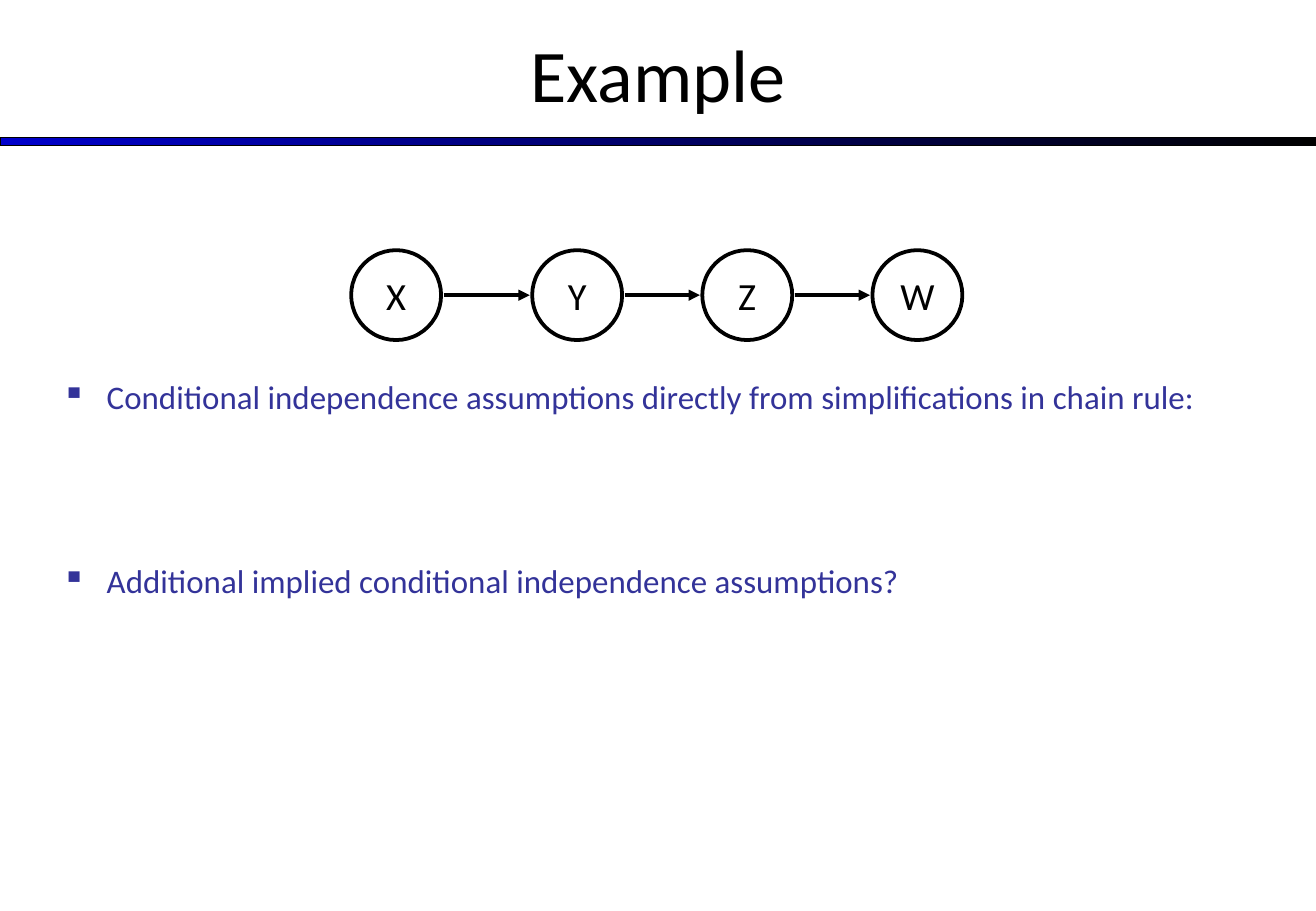
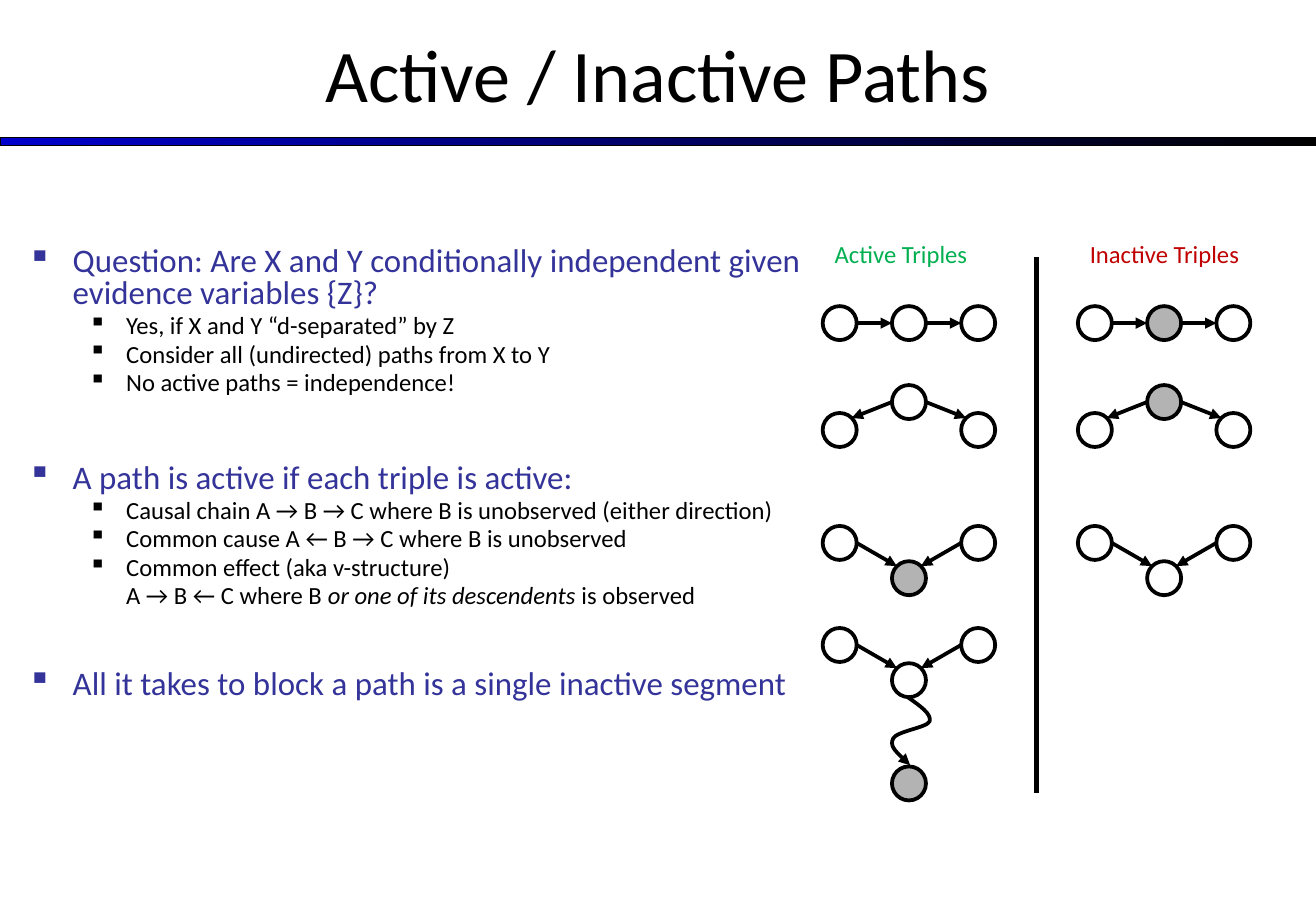
from math import cos, radians, sin

from lxml.etree import SubElement
from pptx import Presentation
from pptx.dml.color import RGBColor
from pptx.enum.shapes import MSO_CONNECTOR as Line, MSO_SHAPE as Shape
from pptx.enum.text import MSO_ANCHOR as Anchor, PP_ALIGN as Align
from pptx.oxml.ns import qn
from pptx.util import Inches, Pt

WIDTH, HEIGHT = 10.83, 7.5
FONT = "Calibri"
BLACK, WHITE, GRAY = "000000", "FFFFFF", "B3B3B3"
BLUE, INDIGO, GREEN, RED = "0000CC", "333399", "00B050", "C00000"
STROKE = 2.25

# Left margin and hanging indent in inches, size and space before in points
LEVELS = [
    {"margin": 0.37, "hang": 0.37, "size": 19.5, "before": 3.9, "color": INDIGO},
    {"margin": 0.81, "hang": 0.31, "size": 14.6, "before": 2.9, "color": BLACK},
]

NODE_RADIUS = 0.14
NODE_PITCH = 0.57
ACTIVE_X, INACTIVE_X = 6.91, 9.01
TRIPLE_ROWS = {  # arrow pattern, y of the end nodes, y of the middle node
    "chain": ("chain", 2.66, 2.66),
    "cause": ("fork", 3.54, 3.31),
    "effect": ("collider", 4.47, 4.76),
    "descendant": ("collider", 5.31, 5.6),
}


def rgb(value):
    return RGBColor.from_string(value)


def apply(target, values):
    for name, value in values.items():
        setattr(target, name, value)


def add_span(para, text, size, color, italic=False):
    span = para.add_run()
    span.text = text
    apply(span.font, {"name": FONT, "size": Pt(size), "italic": italic})
    span.font.color.rgb = rgb(color)


def add_text(page, area, text, size, color, align=Align.LEFT, anchor=Anchor.TOP):
    box = page.shapes.add_textbox(*map(Inches, area))
    apply(box.text_frame, {"word_wrap": True, "vertical_anchor": anchor})
    para = box.text_frame.paragraphs[0]
    para.alignment = align
    add_span(para, text, size, color)


def add_page(deck, title):
    """Add a slide with the shared title and gradient band."""
    page = deck.slides.add_slide(deck.slide_layouts[6])
    band = page.shapes.add_shape(
        Shape.RECTANGLE, *map(Inches, (0, 1.13, WIDTH, 0.07)))
    band.shadow.inherit = False
    band.fill.gradient()
    band.fill.gradient_angle = 0
    for stop, color in zip(band.fill.gradient_stops, (BLUE, BLACK)):
        stop.color.rgb = rgb(color)
    apply(band.line, {"width": Pt(0.75)})
    band.line.color.rgb = rgb(BLACK)
    add_text(page, (0, -0.03, WIDTH, 1.25), title, 44, BLACK,
             Align.CENTER, Anchor.MIDDLE)
    return page


def add_bullets(page, area, items, spacing=1.0):
    """Items are dicts: level, spans, optional before (points) and bullet."""
    box = page.shapes.add_textbox(*map(Inches, area))
    frame = box.text_frame
    frame.word_wrap = True
    for index, item in enumerate(items):
        style = LEVELS[item["level"]]
        para = frame.add_paragraph() if index else frame.paragraphs[0]
        before = item.get("before", style["before"]) if index else 0
        apply(para, {"line_spacing": spacing, "space_before": Pt(before)})
        bulleted = item.get("bullet", True)
        props = para._p.get_or_add_pPr()
        props.set("marL", str(Inches(style["margin"])))
        props.set("indent", str(-Inches(style["hang"]) if bulleted else 0))
        if bulleted:
            bullet_color = SubElement(props, qn("a:buClr"))
            SubElement(bullet_color, qn("a:srgbClr"), val=style["color"])
            SubElement(props, qn("a:buChar"), char="▪")
        for text, italic in item["spans"]:
            add_span(para, text, style["size"], style["color"], italic)


def bullet(level, text, **extra):
    return {"level": level, "spans": [(text, False)], **extra}


def add_node(page, center, radius, fill=WHITE, label=None):
    x, y = center
    node = page.shapes.add_shape(
        Shape.OVAL, *map(Inches, (x - radius, y - radius, 2 * radius, 2 * radius)))
    node.shadow.inherit = False
    node.fill.solid()
    node.fill.fore_color.rgb = rgb(fill)
    node.line.width = Pt(STROKE)
    node.line.color.rgb = rgb(BLACK)
    if label:
        frame = node.text_frame
        apply(frame, {"word_wrap": False, "vertical_anchor": Anchor.MIDDLE})
        frame.paragraphs[0].alignment = Align.CENTER
        add_span(frame.paragraphs[0], label, 22.8, BLACK)


def add_arrowhead(shape):
    outline = shape.element.spPr.find(qn("a:ln"))
    SubElement(outline, qn("a:tailEnd"), type="triangle")


def add_line(page, start, end, width=STROKE, arrow=True):
    line = page.shapes.add_connector(Line.STRAIGHT, *map(Inches, (*start, *end)))
    line.line.width = Pt(width)
    line.line.color.rgb = rgb(BLACK)
    if arrow:
        add_arrowhead(line)
    SubElement(line.element.spPr, qn("a:effectLst"))


def add_curved_arrow(page, points):
    """Draw a start point followed by cubic Bezier triples."""
    start, *rest = [tuple(map(Inches, point)) for point in points]
    builder = page.shapes.build_freeform(*start)
    builder.add_line_segments(rest, close=False)
    curve = builder.convert_to_shape()
    curve.shadow.inherit = False
    curve.fill.background()
    curve.line.width = Pt(STROKE)
    curve.line.color.rgb = rgb(BLACK)
    add_arrowhead(curve)
    steps = list(curve.element.iter(qn("a:lnTo")))
    outline = steps[0].getparent()
    for first in range(0, len(steps), 3):
        bezier = SubElement(outline, qn("a:cubicBezTo"))
        for step in steps[first:first + 3]:
            bezier.append(step[0])
            outline.remove(step)


def rim(center, degrees):
    """Point on a small node's edge, clockwise from its right side."""
    x, y = center
    angle = radians(degrees)
    return x + NODE_RADIUS * cos(angle), y + NODE_RADIUS * sin(angle)


def add_triple(page, x, row, observed):
    pattern, end_y, middle_y = TRIPLE_ROWS[row]
    left = (x, end_y)
    middle = (x + NODE_PITCH, middle_y)
    right = (x + 2 * NODE_PITCH, end_y)
    for center, fill in ((left, WHITE), (middle, GRAY if observed else WHITE),
                         (right, WHITE)):
        add_node(page, center, NODE_RADIUS, fill)
    arrows = {
        "chain": [(left, 0, middle, 180), (middle, 0, right, 180)],
        "fork": [(middle, 180, left, -45), (middle, 0, right, -135)],
        "collider": [(left, 0, middle, -135), (right, 180, middle, -45)],
    }
    for source, leaving, target, entering in arrows[pattern]:
        add_line(page, rim(source, leaving), rim(target, entering))


def build_example(deck):
    page = add_page(deck, "Example")
    add_bullets(page, (0.41, 3.05, 9.75, 3.01), [
        bullet(0, "Conditional independence assumptions directly from "
                  "simplifications in chain rule:"),
        bullet(0, "Additional implied conditional independence assumptions?",
               before=86),
    ])
    radius, y = 0.37, 2.43
    centers = [3.26, 4.75, 6.15, 7.55]
    for x, label in zip(centers, "XYZW"):
        add_node(page, (x, y), radius, label=label)
    for source, target in zip(centers, centers[1:]):
        add_line(page, (source + radius + 0.02, y), (target - radius - 0.02, y))


def build_paths(deck):
    page = add_page(deck, "Active / Inactive Paths")
    add_bullets(page, (0.13, 1.99, 6.71, 4.47), [
        bullet(0, "Question: Are X and Y conditionally independent given "
                  "evidence variables {Z}?"),
        bullet(1, "Yes, if X and Y “d-separated” by Z"),
        bullet(1, "Consider all (undirected) paths from X to Y"),
        bullet(1, "No active paths = independence!"),
        bullet(0, "A path is active if each triple is active:", before=40),
        bullet(1, "Causal chain A → B → C where B is unobserved (either direction)"),
        bullet(1, "Common cause A ← B → C where B is unobserved"),
        bullet(1, "Common effect (aka v-structure)"),
        {"level": 1, "bullet": False, "spans": [
            ("A → B ← C where B ", False),
            ("or one of its descendents", True),
            (" is observed", False)]},
        bullet(0, "All it takes to block a path is a single inactive segment",
               before=36),
    ], spacing=0.8)

    add_text(page, (6.77, 1.92, 1.42, 0.35), "Active Triples", 14.6, GREEN)
    add_text(page, (8.87, 1.92, 1.56, 0.35), "Inactive Triples", 14.6, RED)
    add_line(page, (8.53, 2.12), (8.53, 6.53), width=3, arrow=False)

    for x, row, observed in (
            (ACTIVE_X, "chain", False), (INACTIVE_X, "chain", True),
            (ACTIVE_X, "cause", False), (INACTIVE_X, "cause", True),
            (ACTIVE_X, "effect", True), (INACTIVE_X, "effect", False),
            (ACTIVE_X, "descendant", False)):
        add_triple(page, x, row, observed)
    add_node(page, (ACTIVE_X + NODE_PITCH, 6.45), NODE_RADIUS, GRAY)
    add_curved_arrow(page, [
        (7.47, 5.74),
        (7.57, 5.81), (7.67, 5.88), (7.65, 5.94),
        (7.63, 5.99), (7.38, 6.02), (7.35, 6.08),
        (7.32, 6.14), (7.4, 6.22), (7.49, 6.3),
    ])


def main():
    deck = Presentation()
    apply(deck, {"slide_width": Inches(WIDTH), "slide_height": Inches(HEIGHT)})
    build_example(deck)
    build_paths(deck)
    deck.save("out.pptx")


if __name__ == "__main__":
    main()
